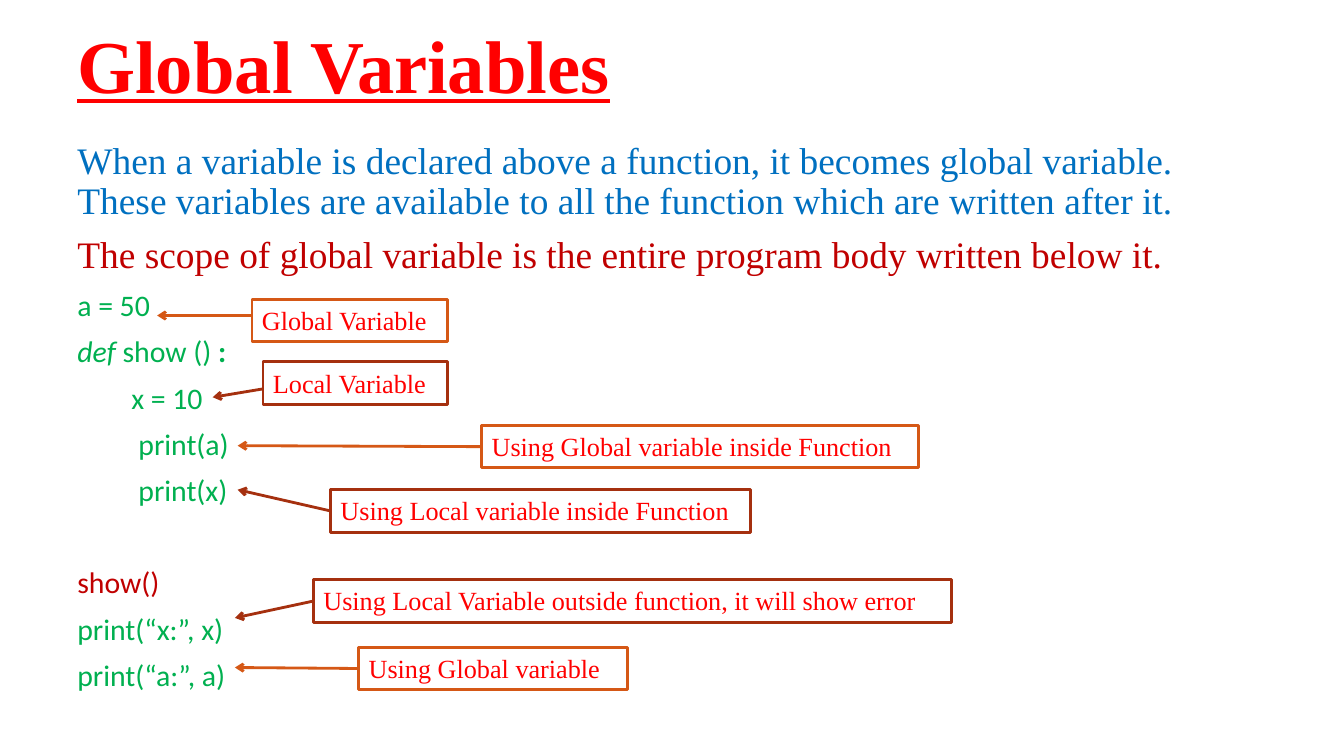
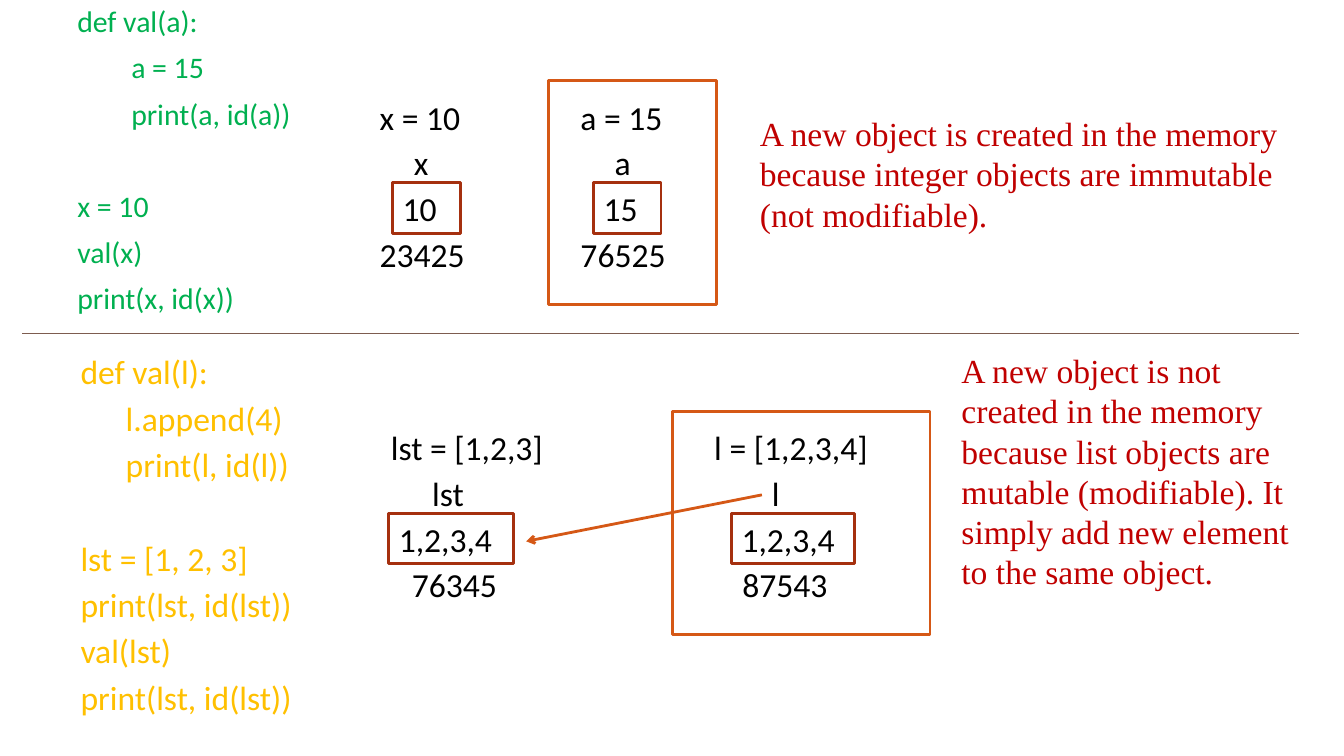
from dataclasses import dataclass, replace
from lxml import etree
from pptx import Presentation
from pptx import util as u
from pptx.dml.color import RGBColor
from pptx.enum import shapes, text
from pptx.oxml.ns import qn


@dataclass(frozen=True)
class Look:
    font: str
    size: float
    ink: str
    bold: bool = False
    slant: bool = False
    under: bool = False


@dataclass(frozen=True)
class Para:
    runs: tuple
    gap: float = 0
    dent: float = 0
    lead: float = 1


class Theme:
    serif, sans = "Times New Roman", "Calibri"
    white, brown, orange, rule = "FFFFFF", "A5300F", "D55816", "7D5C4F"
    title = Look(serif, 53.3, "FF0000", bold=True, under=True)
    blue = Look(serif, 26.7, "0070C0")
    crimson = Look(serif, 26.7, "C00000")
    tag = Look(serif, 18.7, "FF0000")
    note = Look(serif, 24, "C00000")
    green = Look(sans, 21.3, "00B050")
    call = Look(sans, 21.3, "C00000")
    gold = Look(sans, 24, "FFC000")
    data = Look(sans, 24, "000000")
    edge, thin = 2, 1


def color(code):
    return RGBColor.from_string(code)


def cm(vals):
    return [u.Cm(v) for v in vals]


def outline(shape, ink):
    shape.line.color.rgb = color(ink)
    shape.line.width = u.Pt(Theme.edge)


def write(slide, area, paras, wrap=True, ink=None):
    box = slide.shapes.add_textbox(*cm(area))
    if ink:
        box.fill.solid()
        box.fill.fore_color.rgb = color(Theme.white)
        outline(box, ink)
    frame = box.text_frame
    frame.word_wrap = wrap
    for num, item in enumerate(paras):
        par = frame.add_paragraph() if num else frame.paragraphs[0]
        par.line_spacing = item.lead
        par.space_before = u.Pt(item.gap)
        if item.dent:
            par._p.get_or_add_pPr().set("marL", str(u.Cm(item.dent)))
        for words, look in item.runs:
            run = par.add_run()
            run.text = words
            font = run.font
            font.name, font.size = look.font, u.Pt(look.size)
            font.color.rgb = color(look.ink)
            font.bold, font.italic, font.underline = look.bold, look.slant, look.under
    return box


def plain(words, look, **opts):
    return Para(((words, look),), **opts)


def link(slide, start, end, ink, width=Theme.edge, head=True, joint=None):
    line = slide.shapes.add_connector(shapes.MSO_CONNECTOR.STRAIGHT, *cm(start + end))
    if joint:
        line.begin_connect(joint, 1)
    line.line.color.rgb = color(ink)
    line.line.width = u.Pt(width)
    props = line._element.spPr
    if head:
        etree.SubElement(props.find(qn("a:ln")), qn("a:tailEnd"), type="arrow")
    etree.SubElement(props, qn("a:effectLst"))


def title(slide, area, words):
    box = write(slide, area, [plain(words, Theme.title, lead=0.9)])
    box.text_frame.vertical_anchor = text.MSO_ANCHOR.MIDDLE


def callout(slide, area, words, ink, tip, drop=None):
    left, top, wide, high = area
    box = write(slide, area, [plain(words, Theme.tag)], ink=ink)
    start = (left, top + (high / 2 if drop is None else drop))
    link(slide, start, tip, ink, joint=box if drop is None else None)


def code(slide, area, rows, look, gap, skip, lead):
    write(slide, area, [
        plain(words, look, gap=skip if apart else gap, dent=dent, lead=lead)
        for words, dent, apart in rows])


def memory(slide, left, top, parts, frame=None):
    step = 1.15
    for num, (words, shift, wide) in enumerate(parts):
        boxed = num == 2
        write(slide, (left + shift, top + num * step, wide, 1.27),
              [plain(words, Theme.data)], wrap=boxed,
              ink=Theme.brown if boxed else None)
    if frame:
        shift, wide = frame
        rect = slide.shapes.add_shape(
            shapes.MSO_SHAPE.RECTANGLE, *cm((left + shift, top - 0.28, wide, 5.64)))
        rect.shadow.inherit = False
        rect.fill.background()
        outline(rect, Theme.orange)


def note(slide, area, words):
    write(slide, area, [plain(words, Theme.note)])


def scope(slide):
    t = Theme
    title(slide, (1.7, 0.15, 30.48, 3.18), "Global Variables")
    even = {"gap": 10, "lead": 0.9}
    write(slide, (1.7, 3.45, 30.48, 14.27), [
        plain("When a variable is declared above a function, it becomes global variable. "
              "These variables are available to all the function which are written after it.",
              t.blue, **even),
        plain("The scope of global variable is the entire program body written below it.",
              t.crimson, **even),
        plain("a = 50", t.green, **even),
        Para((("def", replace(t.green, slant=True)), (" show () ", t.green),
              (":", replace(t.green, bold=True))), **even),
        plain("x = 10", t.green, dent=1.36, **even),
        plain("print(a)", t.green, dent=1.54, **even),
        plain("print(x)", t.green, dent=1.54, **even),
        plain("show()", t.call, gap=43, lead=0.9),
        plain("print(“x:”, x)", t.green, **even),
        plain("print(“a:”, a)", t.green, **even),
    ])
    for left, top, wide, words, ink, *ends in (
        (6.35, 7.54, 4.93, "Global Variable", t.orange, (3.96, 7.95), 0.41),
        (6.63, 9.12, 4.65, "Local Variable", t.brown, (5.36, 10.01), 0.68),
        (12.14, 10.72, 11, "Using Global variable inside Function", t.orange, (5.99, 11.23)),
        (8.33, 12.34, 10.59, "Using Local variable inside Function", t.brown, (5.99, 12.34)),
        (7.9, 14.61, 16.08, "Using Local Variable outside function, it will show error",
         t.brown, (5.92, 15.57)),
        (9.04, 16.31, 6.78, "Using Global variable", t.orange, (5.92, 16.82)),
    ):
        callout(slide, (left, top, wide, 1.07), words, ink, *ends)


def passing(slide):
    t = Theme
    code(slide, (1.7, 0.05, 7.34, 8.05), (
        ("def val(a):", 0, False), ("a = 15", 1.36, False),
        ("print(a, id(a))", 1.36, False), ("x = 10", 0, True),
        ("val(x)", 0, False), ("print(x, id(x))", 0, False),
    ), t.green, 10, 43, 0.9)
    for left, name, value, place, frame in (
        (9.32, "x", "10", "23425", None),
        (14.38, "a", "15", "76525", (-0.56, 4.24)),
    ):
        memory(slide, left, 2.31, (
            (f"{name} = {value}", 0, 2.58), (name, 0.86, 0.9),
            (value, 0.58, 1.7), (place, 0, 2.67)), frame)
    note(slide, (18.9, 2.72, 13.82, 3.33),
         "A new object is created in the memory because integer objects "
         "are immutable (not modifiable).")
    link(slide, (0.56, 8.41), (32.74, 8.41), t.rule, t.thin, head=False)
    code(slide, (1.78, 8.73, 12.2, 10.1), (
        ("def val(l):", 0, False), ("l.append(4)", 1.14, False),
        ("print(l, id(l))", 1.14, False), ("lst = [1, 2, 3]", 0, True),
        ("print(lst, id(lst))", 0, False), ("val(lst)", 0, False),
        ("print(lst, id(lst))", 0, False),
    ), t.gold, 4.3, 37.9, 1)
    memory(slide, 9.6, 10.64, (
        ("lst = [1,2,3]", 0, 4.37), ("lst", 1.04, 1.32),
        ("1,2,3,4", 0.2, 3.15), ("76345", 0.53, 2.67)))
    memory(slide, 17.75, 10.64, (
        ("l = [1,2,3,4]", 0, 4.42), ("l", 1.45, 0.71),
        ("1,2,3,4", 0.69, 3.1), ("87543", 0.71, 2.67)), (-0.81, 6.5))
    link(slide, (19.2, 12.47), (13.26, 13.64), t.orange)
    note(slide, (23.98, 8.69, 9.04, 6.4),
         "A new object is not created in the memory because list objects are mutable "
         "(modifiable). It simply add new element to the same object.")


def main():
    deck = Presentation()
    deck.slide_width, deck.slide_height = cm((33.87, 19.05))
    for build in (scope, passing):
        build(deck.slides.add_slide(deck.slide_layouts[6]))
    deck.save("out.pptx")


if __name__ == "__main__":
    main()
